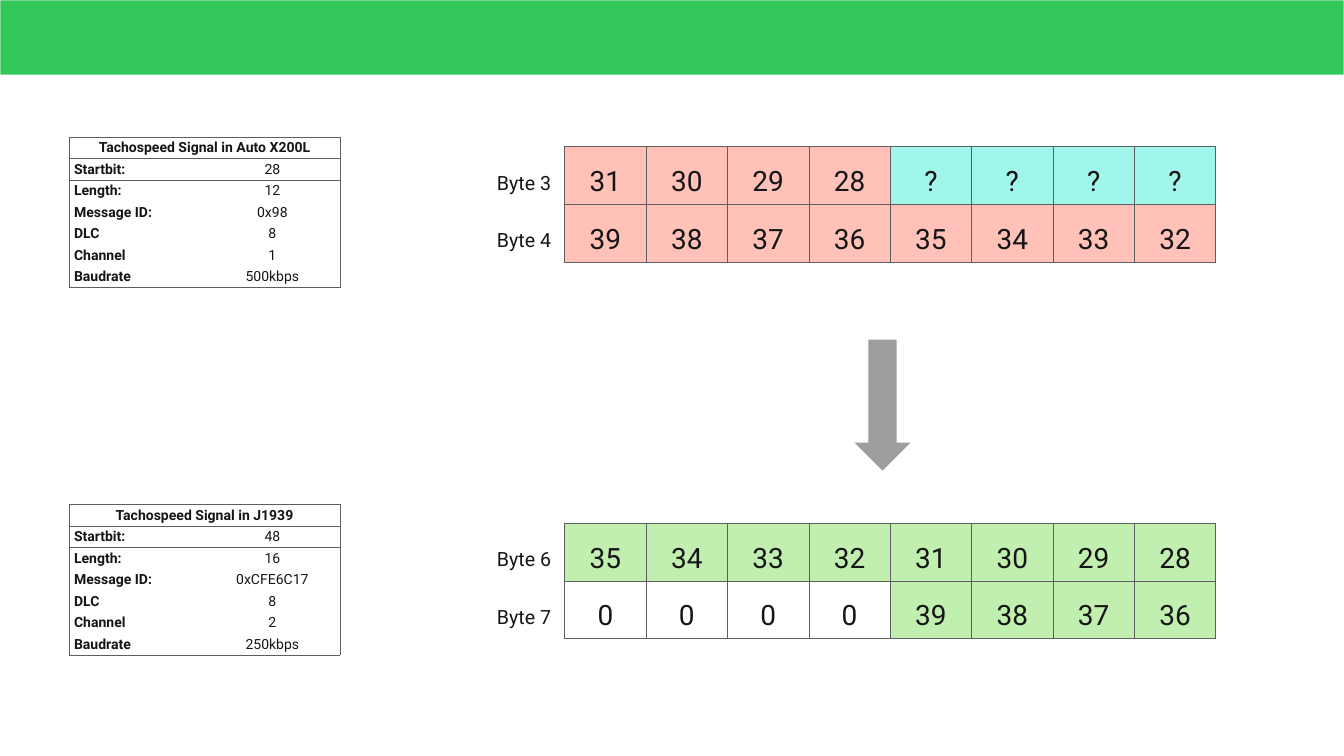
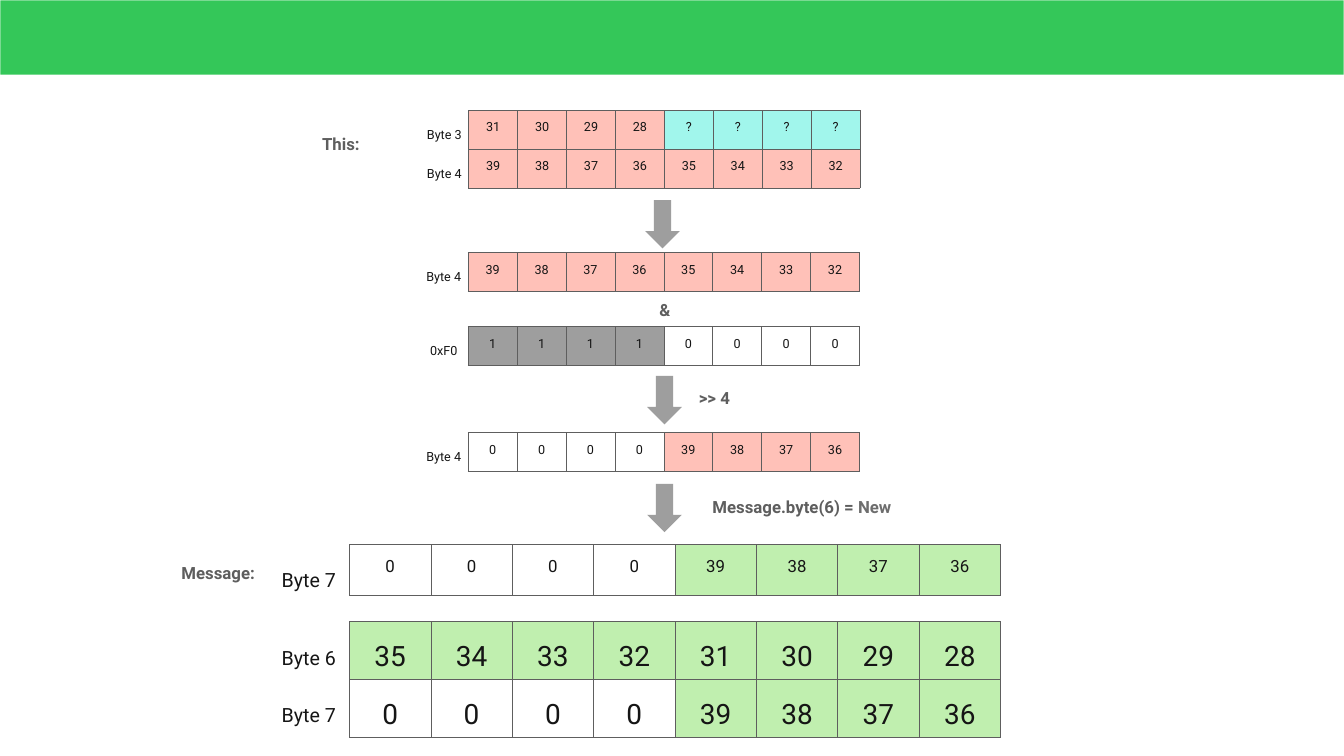
from lxml import etree
from pptx import Presentation
from pptx.dml.color import RGBColor
from pptx.enum.shapes import MSO_SHAPE
from pptx.enum.text import MSO_ANCHOR, PP_ALIGN
from pptx.oxml.ns import qn
from pptx.util import Pt

RECTANGLE, DOWN_ARROW = MSO_SHAPE.RECTANGLE, MSO_SHAPE.DOWN_ARROW
LEFT, CENTER = PP_ALIGN.LEFT, PP_ALIGN.CENTER
MIDDLE = MSO_ANCHOR.MIDDLE

FONT = "Roboto"
BAND, INK, GREY, LIGHT_GREY = "34C759", "151515", "5E5E5E", "6E6E6E"
ARROW, WHITE = "9E9E9E", "FFFFFF"
RED, CYAN, GREEN = "FFC1B8", "A1F6EC", "C0EFAF"
PLAIN_TABLE = "{2D5ABB26-0587-4C30-8999-92F81FD0307C}"

# Column width, row height, label size and bit size of the byte tables
LARGE = dict(column=116.25, row=82.5, label_size=28, bit_size=40)
WIDE = dict(column=116.25, row=64, label_size=28, bit_size=24)
SMALL = dict(column=69.9, row=55.4, label_size=18, bit_size=18)

# Each byte: label, then its high and low half as bits and fill
SOURCE_HIGH = ("Byte 3", ("31 30 29 28", RED), ("? ? ? ?", CYAN))
SOURCE_LOW = ("Byte 4", ("39 38 37 36", RED), ("35 34 33 32", RED))
MASK = ("0xF0", ("1 1 1 1", ARROW), ("0 0 0 0", WHITE))
SHIFTED = ("Byte 4", ("0 0 0 0", WHITE), ("39 38 37 36", RED))
TARGET_LOW = ("Byte 6", ("35 34 33 32", GREEN), ("31 30 29 28", GREEN))
TARGET_HIGH = ("Byte 7", ("0 0 0 0", WHITE), ("39 38 37 36", GREEN))

SIGNAL_FIELDS = ("Startbit:", "Length:", "Message ID:", "DLC", "Channel", "Baudrate")
SOURCE_SIGNAL = ("28", "12", "0x98", "8", "1", "500kbps")
TARGET_SIGNAL = ("48", "16", "0xCFE6C17", "8", "2", "250kbps")


def color(hex_value):
    return RGBColor.from_string(hex_value)


def apply_format(target, values):
    for attribute, value in values.items():
        setattr(target, attribute, value)


def write(paragraph, runs, size, bold=False, align=CENTER, spacing=1.0):
    """Fill a paragraph with (text, colour) runs."""
    apply_format(paragraph, dict(alignment=align, line_spacing=spacing))
    for text, ink in runs:
        run = paragraph.add_run()
        run.text = text
        apply_format(run.font, dict(name=FONT, size=Pt(size), bold=bold))
        run.font.color.rgb = color(ink)


def add_block(slide, preset, left, top, width, height, fill):
    block = slide.shapes.add_shape(preset, Pt(left), Pt(top), Pt(width), Pt(height))
    block.shadow.inherit = False
    block.fill.solid()
    block.fill.fore_color.rgb = color(fill)
    block.line.fill.background()
    return block


def add_band(layout, slide):
    """Draw the green band, then hand it to the layout all slides share."""
    band = add_block(slide, RECTANGLE, 0.5, 0.5, 1919, 106, BAND)
    layout.shapes.element.append(band.element)


def add_caption(slide, left, top, width, *runs):
    caption = slide.shapes.add_textbox(Pt(left), Pt(top), Pt(width), Pt(36))
    frame = caption.text_frame
    apply_format(frame, dict(word_wrap=True, vertical_anchor=MIDDLE,
                             margin_left=Pt(4), margin_right=Pt(4),
                             margin_top=Pt(4), margin_bottom=Pt(4)))
    write(frame.paragraphs[0], runs, 24, bold=True)


def add_plain_table(slide, left, top, rows, columns, column, row):
    holder = slide.shapes.add_table(rows, columns, Pt(left), Pt(top),
                                    Pt(column * columns), Pt(row * rows))
    for style_id in holder.element.iter(qn("a:tableStyleId")):
        style_id.text = PLAIN_TABLE
    table = holder.table
    apply_format(table, dict(first_row=False, horz_banding=False))
    for table_column in table.columns:
        table_column.width = Pt(column)
    for table_row in table.rows:
        table_row.height = Pt(row)
    return table


def dress_cell(cell, sides, fill=None):
    """Rule the given sides (of L, R, T, B), then fill the cell."""
    properties = cell._tc.get_or_add_tcPr()
    for side in "LRTB":
        if side in sides:
            line = etree.SubElement(properties, qn("a:ln" + side), w=str(Pt(1)))
            paint = etree.SubElement(line, qn("a:solidFill"))
            etree.SubElement(paint, qn("a:srgbClr"), val=GREY)
    if fill:
        cell.fill.solid()
        cell.fill.fore_color.rgb = color(fill)
    else:
        cell.fill.background()


def add_byte_table(slide, left, top, scale, *byte_rows):
    """One row per byte: its label, then eight bits."""
    table = add_plain_table(slide, left, top, len(byte_rows), 9,
                            scale["column"], scale["row"])
    for r, (label, *halves) in enumerate(byte_rows):
        label_cell = table.cell(r, 0)
        dress_cell(label_cell, "R", WHITE)
        write(label_cell.text_frame.paragraphs[0], [(label, INK)],
              scale["label_size"], spacing=2.0)
        bits = [(bit, fill) for half, fill in halves for bit in half.split()]
        for c, (bit, fill) in enumerate(bits, start=1):
            bit_cell = table.cell(r, c)
            dress_cell(bit_cell, "LRTB", fill)
            write(bit_cell.text_frame.paragraphs[0], [(bit, INK)],
                  scale["bit_size"], spacing=1.5)


def add_signal_table(slide, top, heading, values):
    """Heading over both columns, then field and value pairs."""
    table = add_plain_table(slide, 98.6, top, len(values) + 1, 2, 193.7, 30)
    table.cell(0, 0).merge(table.cell(0, 1))
    for c in range(2):
        dress_cell(table.cell(0, c), "LRTB")
    write(table.cell(0, 0).text_frame.paragraphs[0], [(heading, INK)], 20, bold=True)
    for r, (field, value) in enumerate(zip(SIGNAL_FIELDS, values), start=1):
        edge = "T" if r == 1 else "B" if r == len(values) else ""
        field_cell, value_cell = table.cell(r, 0), table.cell(r, 1)
        dress_cell(field_cell, "L" + edge)
        dress_cell(value_cell, "R" + edge)
        write(field_cell.text_frame.paragraphs[0], [(field, INK)], 20,
              bold=True, align=LEFT)
        write(value_cell.text_frame.paragraphs[0], [(value, INK)], 20)


def build_signal_mapping(slide):
    add_byte_table(slide, 690.5, 209.5, LARGE, SOURCE_HIGH, SOURCE_LOW)
    add_signal_table(slide, 195.8, "Tachospeed Signal in Auto X200L", SOURCE_SIGNAL)
    add_signal_table(slide, 720.7, "Tachospeed Signal in J1939", TARGET_SIGNAL)
    add_byte_table(slide, 690.5, 747.4, LARGE, TARGET_LOW, TARGET_HIGH)
    add_block(slide, DOWN_ARROW, 1220.4, 485.3, 80.6, 187.2, ARROW)


def build_bit_steps(slide):
    # Mask and shift, from top to bottom
    add_byte_table(slide, 599.8, 157.7, SMALL, SOURCE_HIGH, SOURCE_LOW)
    for top, byte in ((360.7, SOURCE_LOW), (466.6, MASK), (617.8, SHIFTED)):
        add_byte_table(slide, 599, top, SMALL, byte)
    for left, top in ((921.6, 285.8), (924.5, 537.1), (924.5, 691.2)):
        add_block(slide, DOWN_ARROW, left, top, 49.7, 69.1, ARROW)

    # Resulting message
    add_byte_table(slide, 383, 777.6, WIDE, TARGET_HIGH)
    add_byte_table(slide, 383, 887.8, LARGE, TARGET_LOW, TARGET_HIGH)

    # Captions
    add_caption(slide, 928, 424, 44, ("&", GREY))
    add_caption(slide, 985, 550, 71, (">> 4", GREY))
    add_caption(slide, 921.6, 705.6, 447.8, ("Message.byte(6) = ", GREY),
                ("New", LIGHT_GREY))
    add_caption(slide, 357, 187.2, 260, ("This:", GREY))
    add_caption(slide, 185, 800.6, 253.4, ("Message:", GREY))


def main():
    deck = Presentation()
    apply_format(deck, dict(slide_width=Pt(1920), slide_height=Pt(1080)))
    blank = deck.slide_layouts[6]
    mapping_slide, steps_slide = (deck.slides.add_slide(blank) for _ in range(2))
    add_band(blank, mapping_slide)
    build_signal_mapping(mapping_slide)
    build_bit_steps(steps_slide)
    deck.save("out.pptx")


main()
